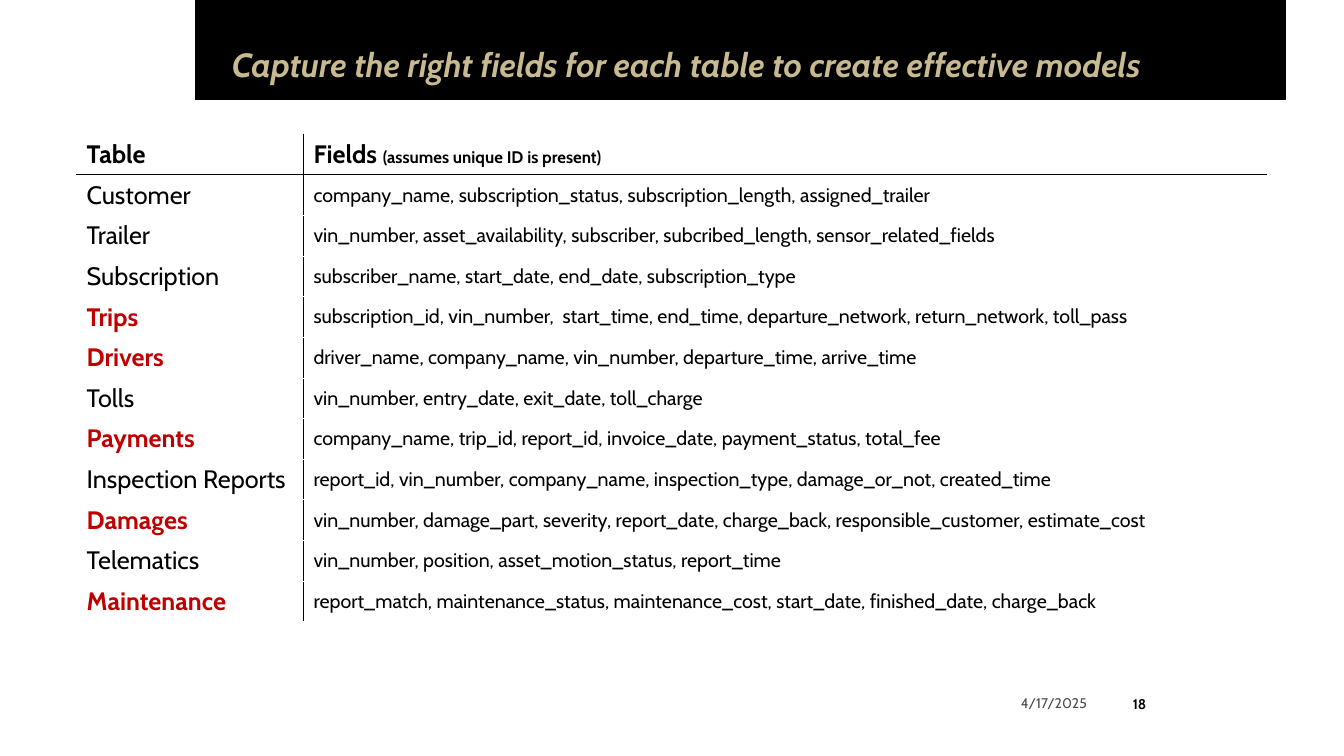
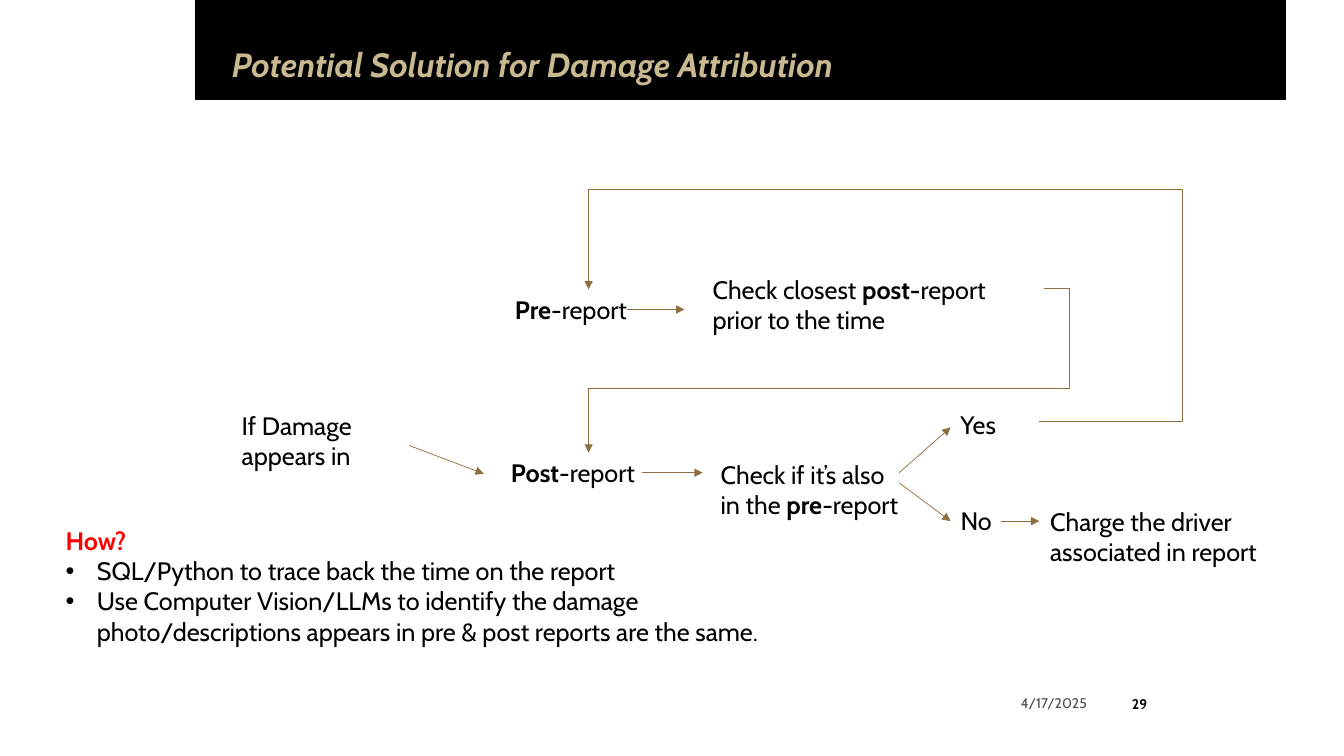
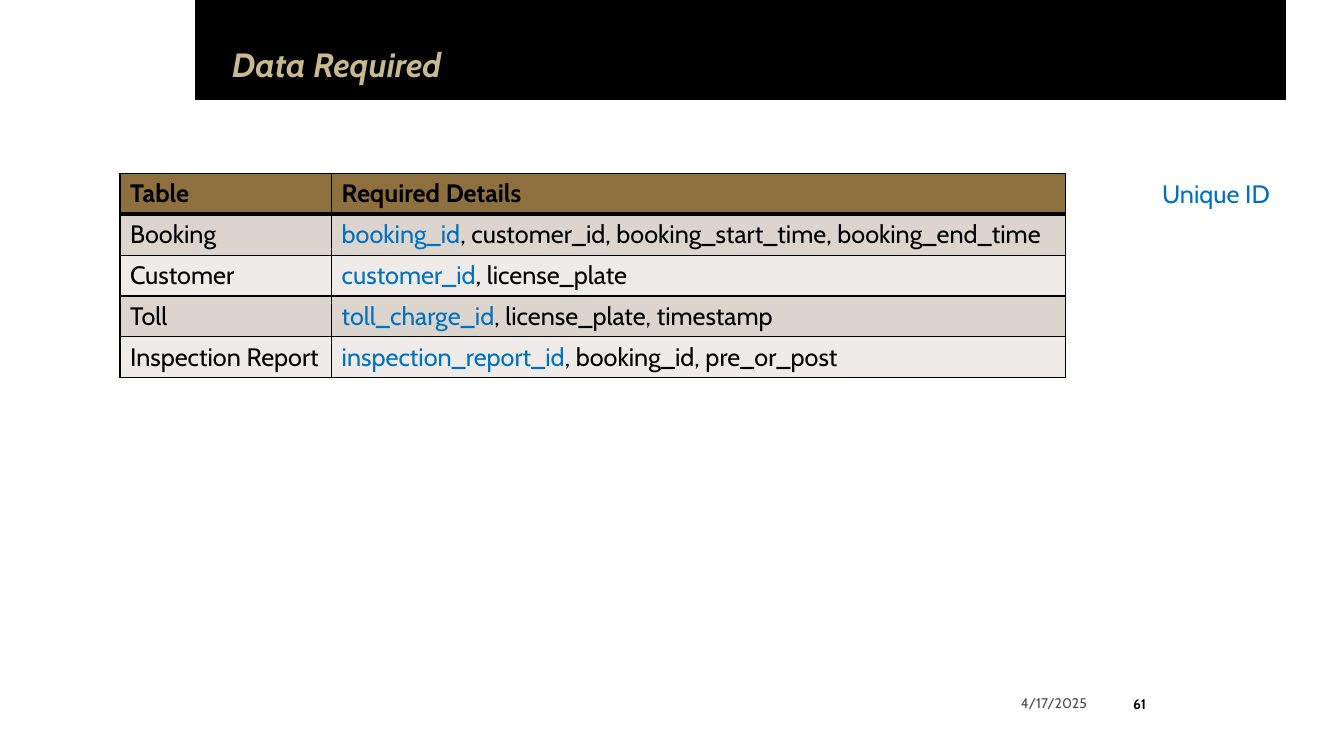
from lxml.etree import SubElement
from pptx import Presentation
from pptx.dml.color import RGBColor
from pptx.enum.shapes import MSO_CONNECTOR, MSO_SHAPE
from pptx.enum.text import MSO_ANCHOR, MSO_AUTO_SIZE, PP_ALIGN
from pptx.oxml.ns import qn
from pptx.util import Emu, Inches, Pt

FONT = "Cabin"
INK = RGBColor(0x00, 0x00, 0x00)
WHITE = RGBColor(0xFF, 0xFF, 0xFF)
GOLD = RGBColor(0xC9, 0xB9, 0x91)
BRONZE = RGBColor(0x8E, 0x6F, 0x3E)
GRAY = RGBColor(0x4D, 0x4D, 0x4D)
CRIMSON = RGBColor(0xC0, 0x00, 0x00)
RED = RGBColor(0xFF, 0x00, 0x00)
BLUE = RGBColor(0x00, 0x70, 0xC0)
SAND = RGBColor(0xDB, 0xD5, 0xCE)
PALE = RGBColor(0xEE, 0xEB, 0xE8)

WIDE, HIGH = Inches(13.333), Inches(7.5)
DATE = "4/17/2025"
LINE, PAD = 4.05, 1.34  # one text line and both insets, % of height

FIELDS = [
    ("Customer", "company_name, subscription_status, subscription_length, assigned_trailer"),
    ("Trailer", "vin_number, asset_availability, subscriber, subcribed_length, sensor_related_fields"),
    ("Subscription", "subscriber_name, start_date, end_date, subscription_type"),
    ("Trips", "subscription_id, vin_number,  start_time, end_time, departure_network, return_network, toll_pass"),
    ("Drivers", "driver_name, company_name, vin_number, departure_time, arrive_time"),
    ("Tolls", "vin_number, entry_date, exit_date, toll_charge"),
    ("Payments", "company_name, trip_id, report_id, invoice_date, payment_status, total_fee"),
    ("Inspection Reports", "report_id, vin_number, company_name, inspection_type, damage_or_not, created_time"),
    ("Damages", "vin_number, damage_part, severity, report_date, charge_back, responsible_customer, estimate_cost"),
    ("Telematics", "vin_number, position, asset_motion_status, report_time"),
    ("Maintenance", "report_match, maintenance_status, maintenance_cost, start_date, finished_date, charge_back"),
]
KEY = {"Trips", "Drivers", "Payments", "Damages", "Maintenance"}

DETAILS = [
    ("Booking", "booking_id", ", customer_id, booking_start_time, booking_end_time"),
    ("Customer", "customer_id", ", license_plate"),
    ("Toll", "toll_charge_id", ", license_plate, timestamp"),
    ("Inspection Report", "inspection_report_id", ", booking_id, pre_or_post"),
]

# Left, top, width, lines of room, runs
LABELS = [
    (37.58, 38.27, 12.45, 1, [("Pre", True), ("-report",)]),
    (37.28, 59.87, 12.98, 2, [("Post", True), ("-report",)]),
    (52.88, 60.13, 15.08, 2, [("Check if it’s also in the ",), ("pre", True), ("-report",)]),
    (70.73, 53.47, 7.5, 1, [("Yes",)]),
    (70.73, 66.13, 6.6, 1, [("No",)]),
    (77.4, 66.27, 17.7, 2, [("Charge the driver associated in report",)]),
    (17.25, 53.6, 12.98, 2, [("If Damage appears in",)]),
    (52.28, 35.6, 25.05, 2, [("Check closest ",), ("post-", True), ("report prior to the time",)]),
]
# Start and end points
ARROWS = [
    (30.45, 58.93, 36, 62.67),
    (46.65, 40.93, 50.93, 40.93),
    (47.78, 62.53, 52.28, 62.53),
    (66.9, 62.53, 70.73, 56.53),
    (66.9, 63.87, 70.73, 68.93),
    (74.48, 68.93, 77.33, 68.93),
]
# Start and end points, then the column and row where the line turns
LOOPS = [
    (77.7, 38.13, 43.8, 59.87, 79.58, 51.33),
    (77.33, 55.73, 43.8, 38.27, 87.98, 25.07),
]
STEPS = [
    "SQL/Python to trace back the time on the report",
    "Use Computer Vision/LLMs to identify the damage "
    "photo/descriptions appears in pre & post reports are the same.",
]


# Lengths: percent of the slide's width and height
def across(share):
    return Emu(round(WIDE * share / 100))


def down(share):
    return Emu(round(HIGH * share / 100))


def area(left, top, width, height):
    return across(left), down(top), across(width), down(height)


def place(shape, *share):
    shape.left, shape.top, shape.width, shape.height = area(*share)


# Text
def write(para, text, bold=False, color=INK, size=18, italic=False):
    run = para.add_run()
    run.text = text
    font = run.font
    font.name, font.size = FONT, Pt(size)
    font.bold, font.italic = bold, italic
    font.color.rgb = color


def label(slide, left, top, width, lines, runs):
    box = slide.shapes.add_textbox(*area(left, top, width, lines * LINE + PAD))
    frame = box.text_frame
    frame.word_wrap = True
    for run in runs:
        write(frame.paragraphs[0], *run)


def bullet(para):
    props = para._p.get_or_add_pPr()
    props.set("marL", str(Inches(0.31)))
    props.set("indent", str(-Inches(0.31)))
    SubElement(props, qn("a:buFont"), typeface="Arial")
    SubElement(props, qn("a:buChar"), char="•")


def steps(slide, head, items):
    body = slide.placeholders[1]
    place(body, 4.13, 68.8, 54.68, 17.47)
    frame = body.text_frame
    frame.auto_size = MSO_AUTO_SIZE.NONE
    first = frame.paragraphs[0]
    first.space_before = Pt(0)
    props = first._p.get_or_add_pPr()
    props.set("marL", "0")
    props.set("indent", "0")
    SubElement(props, qn("a:buNone"))
    write(first, head, True, RED)
    for item in items:
        para = frame.add_paragraph()
        para.space_before = Pt(0)
        bullet(para)
        write(para, item)


# Lines
def arrow(slide, x1, y1, x2, y2, kind=MSO_CONNECTOR.STRAIGHT):
    link = slide.shapes.add_connector(
        kind, across(x1), down(y1), across(x2), down(y2))
    link.line.color.rgb = BRONZE
    link.line.width = Pt(0.5)
    props = link._element.spPr
    SubElement(link.line._get_or_add_ln(), qn("a:tailEnd"), type="triangle")
    SubElement(props, qn("a:effectLst"))
    return props


def loop(slide, x1, y1, x2, y2, col, row):
    back = y2 < y1
    ends = (x2, y2, x1, y1) if back else (x1, y1, x2, y2)
    props = arrow(slide, *ends, MSO_CONNECTOR.ELBOW)
    if back:  # a half turn makes the line run upwards
        props.find(qn("a:xfrm")).set("rot", "10800000")
    geom = props.find(qn("a:prstGeom"))
    geom.set("prst", "bentConnector4")
    guides = geom.find(qn("a:avLst"))
    if guides is None:
        guides = SubElement(geom, qn("a:avLst"))
    turns = (col - x1) / (x2 - x1), (row - y1) / (y2 - y1)
    for num, turn in enumerate(turns, 1):
        SubElement(guides, qn("a:gd"), name=f"adj{num}",
                   fmla=f"val {round(turn * 100000)}")


# Tables
def edge(cell, side, color, width):
    line = SubElement(cell._tc.get_or_add_tcPr(), qn(f"a:ln{side}"),
                      w=str(Pt(width)))
    fill = SubElement(line, qn("a:solidFill"))
    SubElement(fill, qn("a:srgbClr"), val=str(color))


def grid(slide, left, top, cols, step, rows, fills, edges):
    """Fill a table; fills(row) and edges(row, col) give the look of a cell."""
    frame = slide.shapes.add_table(
        len(rows), len(cols), *area(left, top, sum(cols), step * len(rows)))
    table = frame.table
    table.horz_banding = False
    for col, width in zip(table.columns, cols):
        col.width = across(width)
    for r, row in enumerate(rows):
        table.rows[r].height = down(step)
        for c, runs in enumerate(row):
            cell = table.cell(r, c)
            for side, look in zip("LRTB", edges(r, c)):
                edge(cell, side, *look)
            cell.fill.solid()
            cell.fill.fore_color.rgb = fills(r)
            cell.vertical_anchor = MSO_ANCHOR.MIDDLE if r else MSO_ANCHOR.TOP
            for run in runs:
                write(cell.text_frame.paragraphs[0], *run)


def open_edges(row, col):
    thin, rule = (WHITE, 0.5), (INK, 1)
    return (rule if col == 1 else thin, rule if col == 0 else thin,
            rule if row == 1 else thin, rule if row == 0 else thin)


def full_edges(row, col):
    rule, thick = (INK, 1), (INK, 3)
    return (rule, rule, thick if row == 1 else rule,
            thick if row == 0 else rule)


# Shared frame of every slide: band, title, date and number
def start(deck, title, page, layout=5, width=65.55):
    slide = deck.slides.add_slide(deck.slide_layouts[layout])
    band = slide.shapes.add_shape(MSO_SHAPE.RECTANGLE, *area(14.55, 0, 81.08, 13.2))
    band.shadow.inherit = False
    band.fill.solid()
    band.fill.fore_color.rgb = INK
    band.line.color.rgb = INK
    band.line.width = Pt(1)
    slide.shapes._spTree.insert(2, band._element)

    head = slide.shapes.title
    place(head, 17.25, 6.4, width, 4.8)
    frame = head.text_frame
    frame.margin_left = frame.margin_right = 0
    frame.margin_top = frame.margin_bottom = 0
    frame.auto_size = MSO_AUTO_SIZE.SHAPE_TO_FIT_TEXT
    frame.vertical_anchor = MSO_ANCHOR.TOP
    para = frame.paragraphs[0]
    para.alignment = PP_ALIGN.LEFT
    para.line_spacing = 0.9
    write(para, title, True, GOLD, 24, True)

    date = slide.shapes.add_textbox(*area(73.2, 90.67, 8.4, 4.67))
    disc = slide.shapes.add_shape(MSO_SHAPE.OVAL, *area(82.8, 90.4, 3.98, 5.33))
    disc.shadow.inherit = False
    disc.fill.background()
    disc.line.fill.background()
    disc.text_frame.margin_left = disc.text_frame.margin_right = Inches(0.02)
    foot = ((date, PP_ALIGN.RIGHT, (DATE, False, GRAY, 10)),
            (disc, PP_ALIGN.CENTER, (str(page), True, INK, 10)))
    for shape, align, run in foot:
        frame = shape.text_frame
        frame.word_wrap = True
        frame.vertical_anchor = MSO_ANCHOR.MIDDLE
        frame.paragraphs[0].alignment = align
        write(frame.paragraphs[0], *run)
    return slide


# Slides
def fields(deck):
    slide = start(deck, "Capture the right fields for each table to create effective models",
                  18, width=73.43)
    rows = [([("Table", True)],
             [("Fields ", True), ("(assumes unique ID is present)", True, INK, 12)])]
    for name, text in FIELDS:
        key = name in KEY
        rows.append(([(name, key, CRIMSON if key else INK)],
                     [(text, False, INK, 14)]))
    grid(slide, 5.7, 17.73, (16.88, 71.7), 5.38, rows,
         lambda row: WHITE, open_edges)


def damage(deck):
    slide = start(deck, "Potential Solution for Damage Attribution", 29, layout=1)
    steps(slide, "How?", STEPS)
    for item in LABELS:
        label(slide, *item)
    for ends in ARROWS:
        arrow(slide, *ends)
    for ends in LOOPS:
        loop(slide, *ends)


def details(deck):
    slide = start(deck, "Data Required", 61)
    rows = [([("Table", True)], [("Required Details", True)])]
    for name, key, rest in DETAILS:
        rows.append(([(name,)], [(key, False, BLUE), (rest,)]))
    grid(slide, 8.93, 22.93, (15.75, 54.6), 5.41, rows,
         lambda row: (SAND if row % 2 else PALE) if row else BRONZE, full_edges)
    label(slide, 85.73, 22.93, 10.65, 1, [("Unique ID", False, BLUE)])


def main():
    deck = Presentation()
    deck.slide_width, deck.slide_height = WIDE, HIGH
    fields(deck)
    damage(deck)
    details(deck)
    deck.save("out.pptx")


if __name__ == "__main__":
    main()
